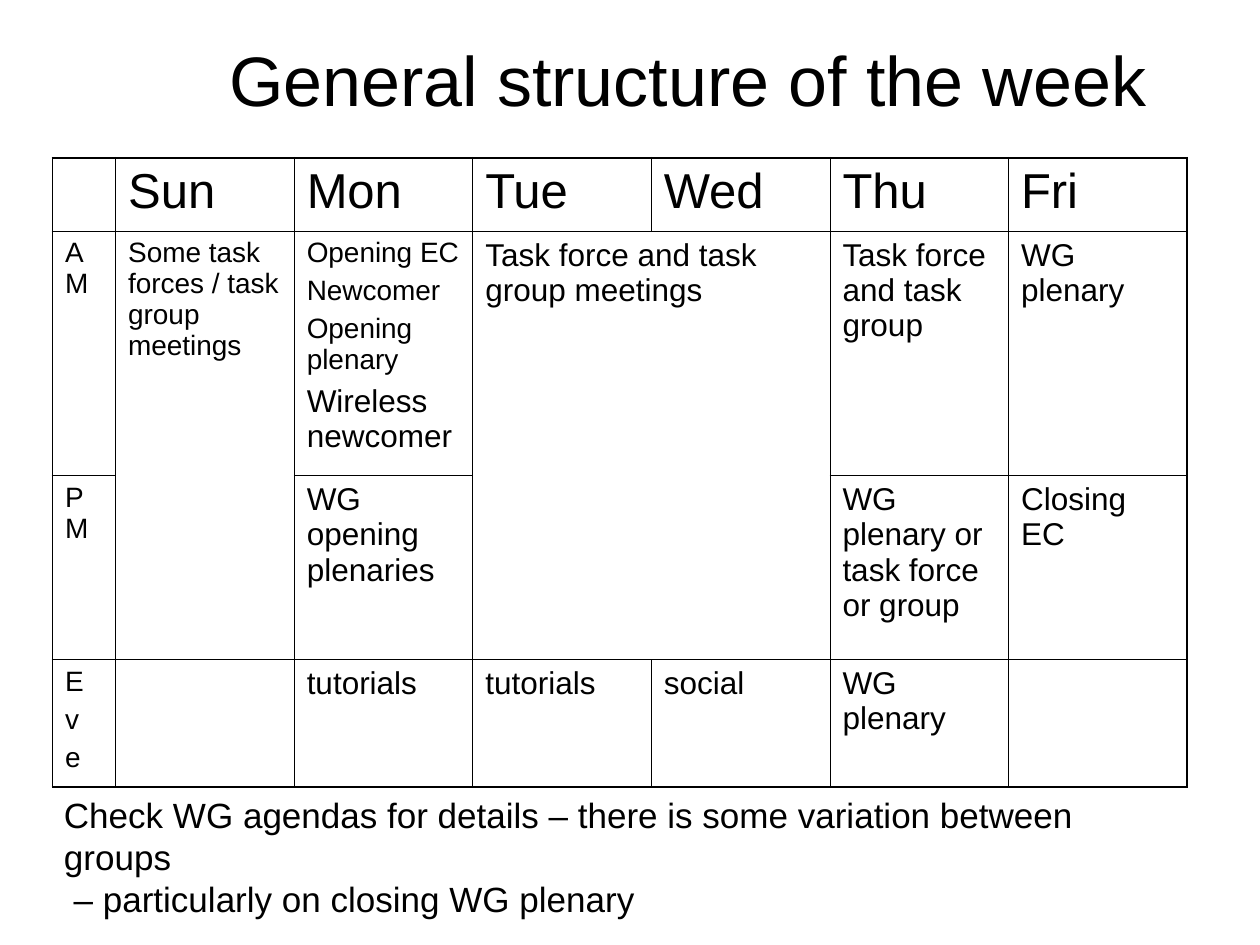
from dataclasses import dataclass

from lxml.etree import SubElement
from pptx import Presentation
from pptx.dml.color import RGBColor
from pptx.enum.text import MSO_ANCHOR, PP_ALIGN
from pptx.oxml.ns import qn
from pptx.util import Cm, Pt


@dataclass(frozen=True)
class Theme:
    font: str = "Arial"
    ink: str = "000000"
    title: int = 40
    head: int = 28
    note: int = 20
    body: int = 18
    small: int = 16
    inner: float = 0.45
    outer: float = 1.08


THEME = Theme()
COLS = [1.27] + [3.6] * 6
ROWS = [1.48, 4.93, 3.71, 2.56]
DAYS = ["", "Sun", "Mon", "Tue", "Wed", "Thu", "Fri"]
PLAN = [
    ["AM", "Some task forces / task group meetings",
     ["Opening EC", "Newcomer", "Opening plenary", "Wireless newcomer"],
     "Task force and task group meetings", "", "Task force and task group",
     "WG plenary"],
    ["PM", "", "WG opening plenaries", "", "",
     "WG plenary or task force or group", "Closing EC"],
    [["E", "v", "e"], "", "tutorials", "tutorials", "social", "WG plenary", ""],
]
SPANS = [((1, 1), (2, 1)), ((1, 3), (2, 4))]
SMALL = {"AM", "PM", "E", "v", "e", PLAN[0][1], *PLAN[0][2][:3]}


def write(frame, lines, size, align=PP_ALIGN.LEFT, before=0, small=()):
    """Fill a frame, one paragraph a line; lines found in small are set smaller."""
    for i, line in enumerate(lines):
        para = frame.paragraphs[0] if i == 0 else frame.add_paragraph()
        points = THEME.small if line in small else size
        para.alignment = align
        para.space_before = Pt(before * points)
        run = para.add_run()
        run.text = line
        run.font.name = THEME.font
        run.font.size = Pt(points)
        run.font.color.rgb = RGBColor.from_string(THEME.ink)


def edge(cell, side, width):
    line = SubElement(cell._tc.get_or_add_tcPr(), qn(f"a:ln{side}"),
                      w=str(int(Pt(width))))
    fill = SubElement(line, qn("a:solidFill"))
    SubElement(fill, qn("a:srgbClr"), val=THEME.ink)


def frame_cell(cell, row, col):
    """Draw the cell's four edges, heavier on the rim of the table."""
    rims = {"L": col == 0, "R": col == len(COLS) - 1,
            "T": row == 0, "B": row == len(ROWS) - 1}
    for side, rim in rims.items():
        edge(cell, side, THEME.outer if rim else THEME.inner)
    cell.fill.background()


def add_title(slide, box):
    frame = slide.shapes.add_textbox(*box).text_frame
    frame.word_wrap = True
    frame.vertical_anchor = MSO_ANCHOR.MIDDLE
    write(frame, ["General structure of the week"], THEME.title,
          align=PP_ALIGN.CENTER)


def add_week(slide, box):
    table = slide.shapes.add_table(len(ROWS), len(COLS), *box).table
    table.first_row = table.horz_banding = False
    for col, width in zip(table.columns, COLS):
        col.width = Cm(width)
    for row, height in zip(table.rows, ROWS):
        row.height = Cm(height)
    for start, end in SPANS:
        table.cell(*start).merge(table.cell(*end))
    for r, texts in enumerate([DAYS] + PLAN):
        for c, text in enumerate(texts):
            cell = table.cell(r, c)
            frame_cell(cell, r, c)
            if text:
                lines = [text] if isinstance(text, str) else text
                write(cell.text_frame, lines, THEME.body if r else THEME.head,
                      before=0.25, small=SMALL)


def add_note(slide, box):
    frame = slide.shapes.add_textbox(*box).text_frame
    frame.word_wrap = False
    write(frame, ["Check WG agendas for details – there is some variation "
                  "between groups",
                  " – particularly on closing WG plenary"], THEME.note)


def main():
    deck = Presentation()
    deck.slide_width, deck.slide_height = Cm(25.4), Cm(19.05)
    slide = deck.slides.add_slide(deck.slide_layouts[6])
    add_title(slide, (Cm(3.6), Cm(0), Cm(20.53), Cm(3.18)))
    add_week(slide, (Cm(1.06), Cm(3.18), Cm(sum(COLS)), Cm(sum(ROWS))))
    add_note(slide, (Cm(1.04), Cm(15.88), Cm(23.21), Cm(1.96)))
    deck.save("out.pptx")


if __name__ == "__main__":
    main()
